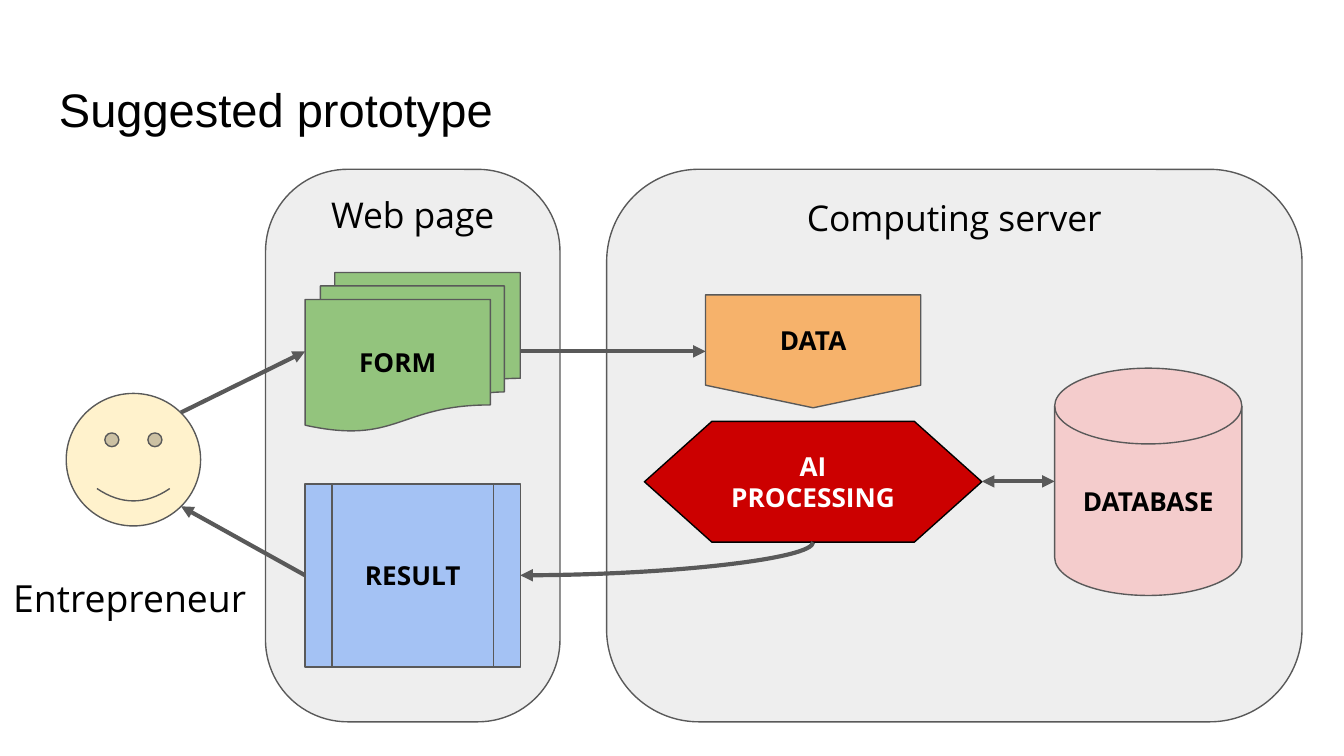
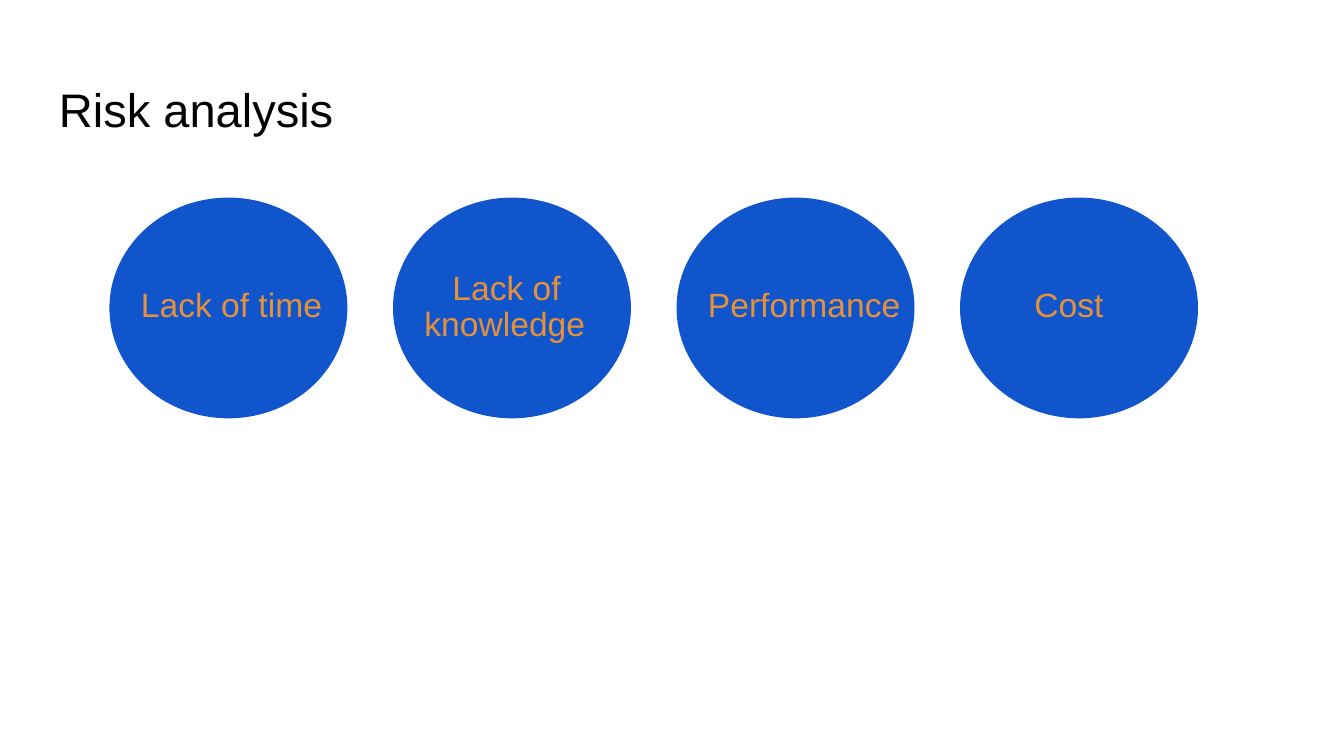
from dataclasses import dataclass

from lxml.etree import SubElement
from pptx import Presentation
from pptx.dml.color import RGBColor
from pptx.enum.shapes import MSO_CONNECTOR, MSO_SHAPE
from pptx.enum.text import MSO_ANCHOR, PP_ALIGN
from pptx.oxml.ns import qn
from pptx.util import Pt


@dataclass(frozen=True)
class Theme:
    black: str = "000000"
    white: str = "FFFFFF"
    grey: str = "595959"
    panel: str = "EEEEEE"
    red: str = "CC0000"
    pink: str = "F4CCCC"
    green: str = "93C47D"
    cream: str = "FFF2CC"
    orange: str = "F6B26B"
    sky: str = "A4C2F4"
    blue: str = "1155CC"
    amber: str = "E69138"
    plain: str = "Arial"
    open: str = "Open Sans"
    title: float = 25.2
    actor: float = 20
    head: float = 19
    risk: float = 18
    node: float = 14
    inset: float = 7.2
    thin: float = 0.75
    thick: float = 2.25


THEME = Theme()


def write(shape, text, *, size, color=THEME.black, font=THEME.open, bold=False,
          align=PP_ALIGN.LEFT, anchor=MSO_ANCHOR.TOP, top=THEME.inset,
          space=None, indent=0):
    """Fill a shape with one paragraph per line; indent moves the first."""
    frame = shape.text_frame
    frame.word_wrap = True
    frame.vertical_anchor = anchor
    frame.margin_left = frame.margin_right = frame.margin_bottom = Pt(THEME.inset)
    frame.margin_top = Pt(top)
    frame.text = text
    for para in frame.paragraphs:
        para.alignment = align
        para.line_spacing = space
        face = para.runs[0].font
        face.name, face.size, face.bold = font, Pt(size), bold
        face.color.rgb = RGBColor.from_string(color)
    if indent:
        props = frame.paragraphs[0]._p.get_or_add_pPr()
        props.set("marL", str(Pt(indent)))
        props.set("indent", "0")


class Deck:
    def __init__(self, theme):
        self.theme = theme
        self.file = Presentation()
        self.file.slide_width, self.file.slide_height = Pt(720), Pt(405)
        self.slide = None

    def page(self, title):
        self.slide = self.file.slides.add_slide(self.file.slide_layouts[6])
        self.label(title, (24.5, 35.25, 671, 45.25), size=self.theme.title,
                   font=self.theme.plain, anchor=MSO_ANCHOR.BOTTOM)

    def label(self, text, box, **style):
        write(self.slide.shapes.add_textbox(*map(Pt, box)), text, **style)

    def shape(self, kind, box, fill, line=THEME.grey, curve=None):
        shape = self.slide.shapes.add_shape(kind, *map(Pt, box))
        shape.shadow.inherit = False
        shape.fill.solid()
        shape.fill.fore_color.rgb = RGBColor.from_string(fill)
        shape.line.color.rgb = RGBColor.from_string(line)
        shape.line.width = Pt(self.theme.thin)
        if curve is not None:
            shape.adjustments[0] = curve
        return shape

    def panel(self, text, left, width, curve):
        shape = self.shape(MSO_SHAPE.ROUNDED_RECTANGLE, (left, 90.75, width, 296),
                           self.theme.panel, curve=curve)
        write(shape, text, size=self.theme.head, align=PP_ALIGN.CENTER, top=0)

    def node(self, text, kind, box, fill, line=THEME.grey, color=THEME.black):
        write(self.shape(kind, box, fill, line), text, size=self.theme.node,
              color=color, bold=True, align=PP_ALIGN.CENTER,
              anchor=MSO_ANCHOR.MIDDLE)

    def arrow(self, start, end, both=False, kind=MSO_CONNECTOR.STRAIGHT):
        link = self.slide.shapes.add_connector(kind, *map(Pt, start + end))
        link.line.color.rgb = RGBColor.from_string(self.theme.grey)
        link.line.width = Pt(self.theme.thick)
        line = link.line._get_or_add_ln()
        for name in ("a:headEnd", "a:tailEnd") if both else ("a:tailEnd",):
            SubElement(line, qn(name)).set("type", "triangle")
        SubElement(link._element.spPr, qn("a:effectLst"))
        return link

    def bend(self, start, end):
        """Draw an arrow that leaves downward and arrives leftward."""
        (x1, y1), (x2, y2) = start, end
        midx, midy = (x1 + x2) / 2, (y1 + y2) / 2
        wide, high = (y2 - y1) / 2, (x1 - x2) / 2
        link = self.arrow((midx - wide, midy - high), (midx + wide, midy + high),
                          kind=MSO_CONNECTOR.CURVE)
        props = link._element.spPr
        props.find(qn("a:xfrm")).set("rot", str(90 * 60000))
        props.find(qn("a:prstGeom")).set("prst", "curvedConnector2")


def draw_flow(deck):
    theme = deck.theme
    left, width = 163.5, 115.25
    right = left + width
    form, link, back = 188.25, 257.9, 308.25
    deck.page("Suggested prototype")
    deck.panel("Web page", 142.25, 157.75, 0.279)
    deck.panel("Computing server", 325, 372.5, 0.167)
    deck.node("AI PROCESSING", MSO_SHAPE.FLOWCHART_PREPARATION,
              (345.25, 225.75, 180.75, 64.75), theme.red, theme.black, theme.white)
    deck.node("DATABASE", MSO_SHAPE.FLOWCHART_MAGNETIC_DISK,
              (565, 197.25, 100.25, 121.75), theme.pink)
    deck.node("FORM", MSO_SHAPE.FLOWCHART_MULTIDOCUMENT,
              (left, 146, width, 85), theme.green)
    deck.shape(MSO_SHAPE.SMILEY_FACE, (35.5, 210.75, 72, 71), theme.cream,
               curve=0.047)
    deck.arrow((right, form), (378, form))
    deck.arrow((526, link), (565, link), both=True)
    deck.arrow((97, 221), (left, form))
    deck.arrow((left, back), (97, 271.25))
    deck.label("Entrepreneur", (0, 301, 143.5, 39), size=theme.actor)
    deck.node("DATA", MSO_SHAPE.FLOWCHART_OFFPAGE_CONNECTOR,
              (378, 158, width, 60.5), theme.orange)
    deck.bend((435.6, 290.5), (right, back))
    deck.node("RESULT", MSO_SHAPE.FLOWCHART_PREDEFINED_PROCESS,
              (left, 259.25, width, 98), theme.sky)


def draw_risks(deck):
    theme = deck.theme
    first, step, width = 59, 151.9, 126.75
    risks = [("Lack of time", 9.4, 0), ("Lack of\nknowledge", 9.4, 15),
             ("Performance", 9.4, 0), ("Cost", 32.4, 0)]
    deck.page("Risk analysis")
    for spot, (text, shift, indent) in enumerate(risks):
        left = first + spot * step
        deck.shape(MSO_SHAPE.OVAL, (left, 106.25, width, 117.5),
                   theme.blue, theme.blue)
        top, high = (138.25, 54) if "\n" in text else (147.6, 33.8)
        deck.label(text, (left + shift, top, width, high), size=theme.risk,
                   color=theme.amber, font=theme.plain, align=PP_ALIGN.JUSTIFY,
                   space=0.9, indent=indent)


def main():
    deck = Deck(THEME)
    draw_flow(deck)
    draw_risks(deck)
    deck.file.save("out.pptx")


if __name__ == "__main__":
    main()
